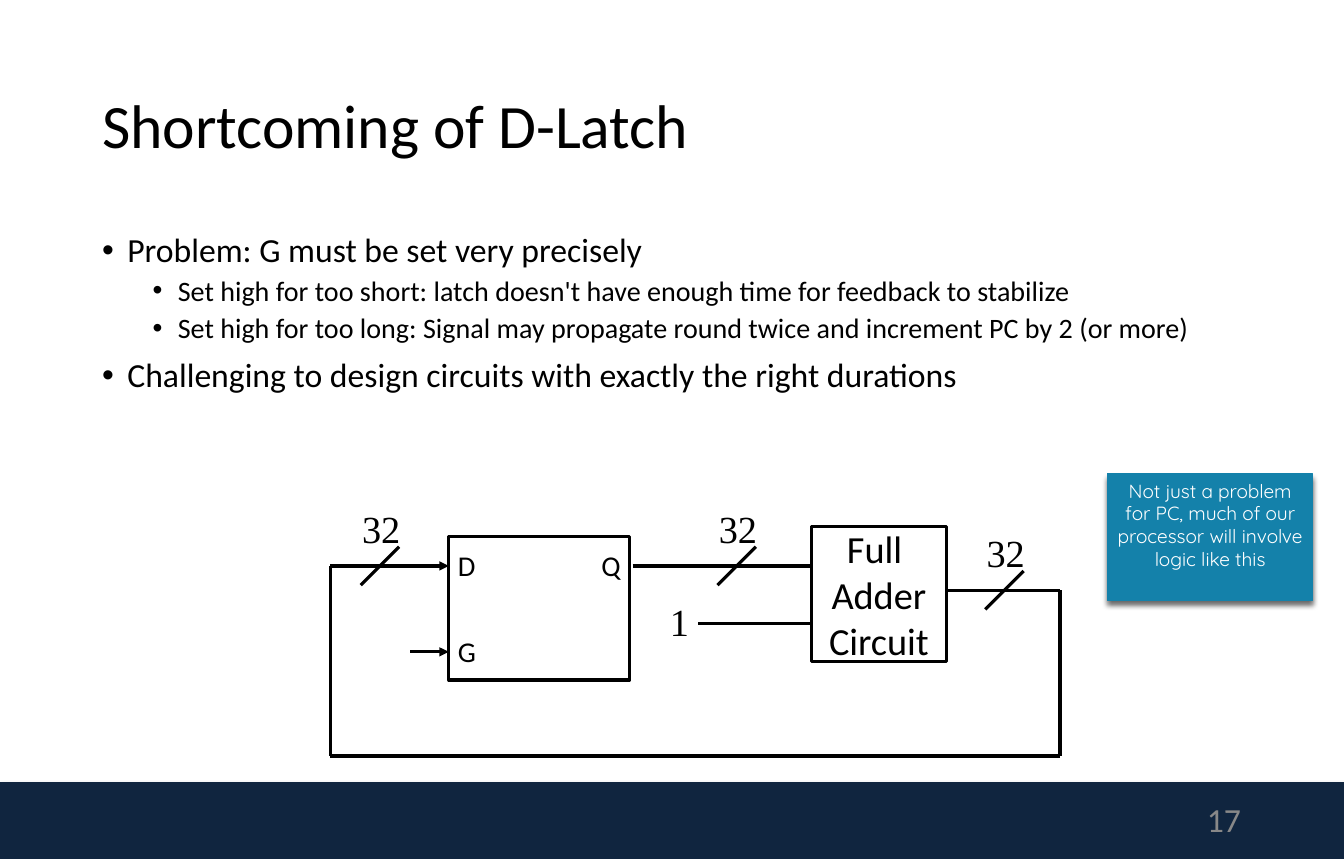
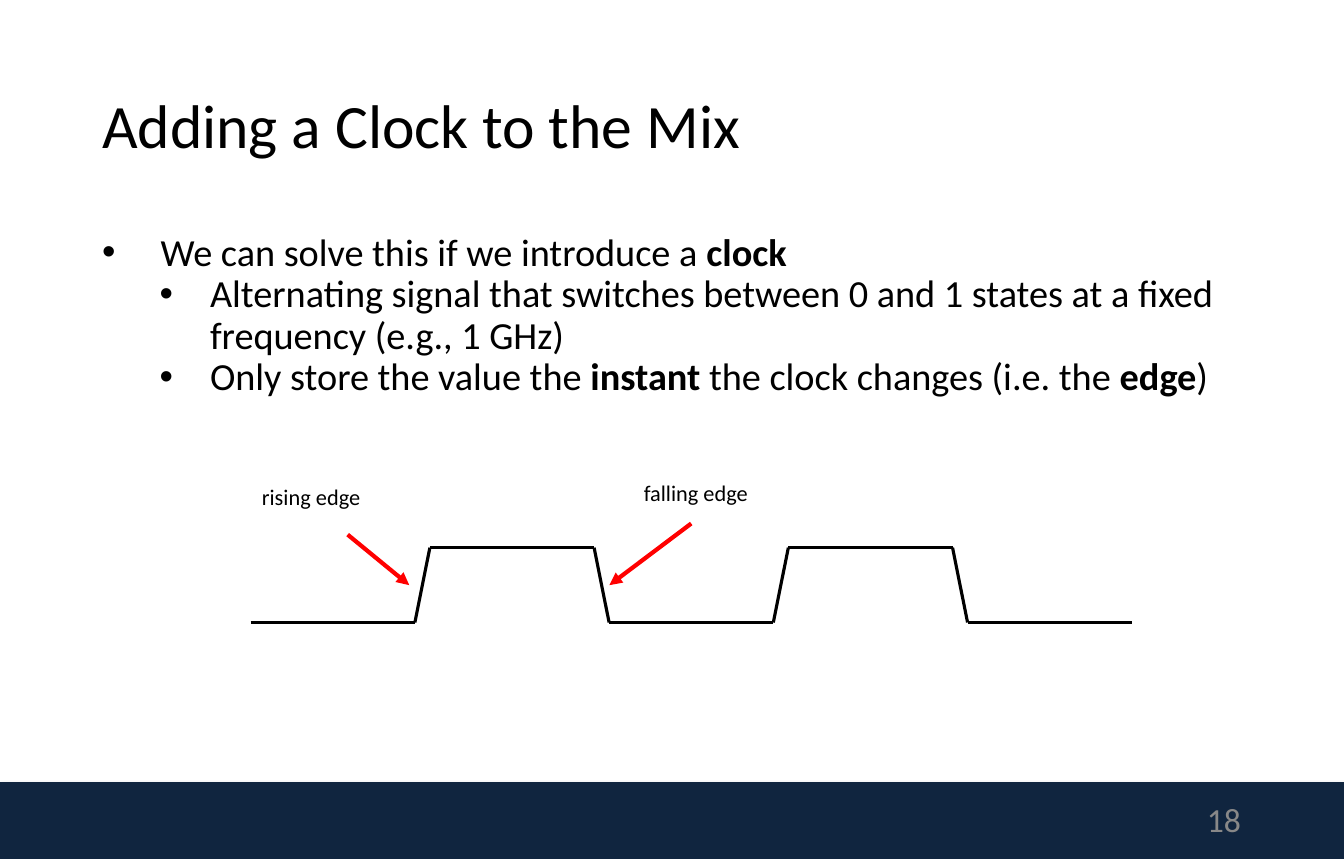
import itertools

import pptx
import pptx.dml.color
import pptx.enum.shapes
import pptx.enum.text
import pptx.oxml
import pptx.oxml.ns
import pptx.util

Pt = pptx.util.Pt
RGBColor = pptx.dml.color.RGBColor
Align = pptx.enum.text.PP_ALIGN
Anchor = pptx.enum.text.MSO_ANCHOR

BLACK = RGBColor(0x00, 0x00, 0x00)
WHITE = RGBColor(0xFF, 0xFF, 0xFF)
RED = RGBColor(0xFF, 0x00, 0x00)
GRAY = RGBColor(0x88, 0x88, 0x88)
NAVY = RGBColor(0x10, 0x25, 0x3F)
TEAL = RGBColor(0x14, 0x81, 0xAA)

SLIDE_WIDTH, SLIDE_HEIGHT = 957.6, 612
BAND_TOP = 557.3
CONTENT_LEFT, CONTENT_WIDTH = 65.5, 825.8
PLACEHOLDER_MARGINS = (7.2, 3.6)
LABEL_MARGINS = (8, 4.3)
LINE_WIDTH = 2.25


def xml(markup):
    namespace = pptx.oxml.ns.nsdecls("a")
    return pptx.oxml.parse_xml(markup.replace("/>", f" {namespace}/>", 1)
                               if markup.endswith("/>") and markup.count("<") == 1
                               else markup.replace(">", f" {namespace}>", 1))


def place(shape, left, top, width, height):
    shape.left, shape.top = Pt(left), Pt(top)
    shape.width, shape.height = Pt(width), Pt(height)


def set_frame(frame, margins, anchor=Anchor.TOP):
    frame.word_wrap = True
    frame.auto_size = pptx.enum.text.MSO_AUTO_SIZE.NONE
    frame.vertical_anchor = anchor
    frame.margin_left = frame.margin_right = Pt(margins[0])
    frame.margin_top = frame.margin_bottom = Pt(margins[1])


def format_paragraph(paragraph, size, color=BLACK, font="Calibri", align=Align.LEFT):
    paragraph.alignment = align
    for run in paragraph.runs:
        run.font.size = Pt(size)
        run.font.name = font
        run.font.color.rgb = color


def write(shape, text, size, margins=LABEL_MARGINS, anchor=Anchor.TOP, **style):
    frame = shape.text_frame
    set_frame(frame, margins, anchor)
    frame.text = text
    for paragraph in frame.paragraphs:
        format_paragraph(paragraph, size, **style)


def add_label(slide, text, left, top, width, height, size, **style):
    label = slide.shapes.add_textbox(Pt(left), Pt(top), Pt(width), Pt(height))
    write(label, text, size, **style)


def add_box(slide, left, top, width, height, fill=None, line=None, line_width=LINE_WIDTH):
    box = slide.shapes.add_shape(pptx.enum.shapes.MSO_SHAPE.RECTANGLE,
                                 Pt(left), Pt(top), Pt(width), Pt(height))
    box.shadow.inherit = False
    if fill is None:
        box.fill.background()
    else:
        box.fill.solid()
        box.fill.fore_color.rgb = fill
    if line is None:
        box.line.fill.background()
    else:
        box.line.color.rgb = line
        box.line.width = Pt(line_width)
    return box


def add_shadow(shape, color, opacity, blur, distance):
    """Drop a soft shadow straight down; opacity is in percent."""
    effects = shape.element.spPr.find(pptx.oxml.ns.qn("a:effectLst"))
    effects.append(xml(
        f'<a:outerShdw blurRad="{Pt(blur)}" dist="{Pt(distance)}" dir="5400000" '
        f'rotWithShape="0"><a:srgbClr val="{color}">'
        f'<a:alpha val="{opacity * 1000}"/></a:srgbClr></a:outerShdw>'))


def add_line(slide, start, end, color=BLACK, width=LINE_WIDTH, arrow=False):
    line = slide.shapes.add_connector(pptx.enum.shapes.MSO_CONNECTOR.STRAIGHT,
                                      *(Pt(value) for value in (*start, *end)))
    line.line.color.rgb = color
    line.line.width = Pt(width)
    if arrow:
        line.line._get_or_add_ln().append(xml('<a:tailEnd type="triangle"/>'))
    line.element.spPr.append(xml("<a:effectLst/>"))


def add_path(slide, points):
    for start, end in itertools.pairwise(points):
        add_line(slide, start, end)


def add_bullets(slide, items, sizes, indents):
    """Fill the body with (level, space before, text); *stars* mark bold words.

    Sizes and indents, as (margin, hanging), are given per level.
    """
    body = slide.placeholders[1]
    place(body, CONTENT_LEFT, 162.7, CONTENT_WIDTH, 388)
    frame = body.text_frame
    set_frame(frame, PLACEHOLDER_MARGINS)
    for index, (level, space_before, text) in enumerate(items):
        paragraph = frame.add_paragraph() if index else frame.paragraphs[0]
        for position, part in enumerate(text.split("*")):
            run = paragraph.add_run()
            run.text = part
            run.font.bold = position % 2 == 1
        format_paragraph(paragraph, sizes[level])
        paragraph.level = level
        paragraph.line_spacing = 0.9
        paragraph.space_before = Pt(space_before)
        margin, hanging = indents[level]
        properties = paragraph._p.get_or_add_pPr()
        properties.set("marL", str(Pt(margin)))
        properties.set("indent", str(-Pt(hanging)))
        properties.append(xml('<a:buFont typeface="Arial"/>'))
        properties.append(xml('<a:buChar char="•"/>'))


def add_slide(presentation, title_text, number):
    slide = presentation.slides.add_slide(presentation.slide_layouts[1])
    band = add_box(slide, 0, BAND_TOP, SLIDE_WIDTH, SLIDE_HEIGHT - BAND_TOP, fill=NAVY)
    add_shadow(band, GRAY, 35, 3.1, 1.8)
    title = slide.shapes.title
    place(title, CONTENT_LEFT, 32.4, CONTENT_WIDTH, 118)
    write(title, title_text, 43.9, PLACEHOLDER_MARGINS, Anchor.MIDDLE)
    title.text_frame.paragraphs[0].line_spacing = 0.9
    add_label(slide, str(number), 676, 567.4, 215.3, 32.4, 24, color=GRAY,
              margins=PLACEHOLDER_MARGINS, anchor=Anchor.MIDDLE, align=Align.RIGHT)
    return slide


def add_bus_mark(slide, x, y):
    """Slash a wire at height y and label it as 32 bits wide."""
    half = 13.7
    add_line(slide, (x, y + half), (x + 2 * half, y - half))
    add_label(slide, "32", x - 7, y - 47.5, 50, 41, 27.3, font="Times New Roman")


def add_latch_circuit(slide):
    data_y, gate_y, output_y, constant_y = 403.2, 464.4, 420.5, 444.2
    latch_left, adder_left, adder_size = 319.7, 578.2, 96
    loop_left, loop_right, loop_bottom = 235.4, 755.3, 538.6
    arrow_left = 292.3

    add_box(slide, latch_left, 382.3, 128.9, 102.2, line=BLACK)
    for text, left, y in (("D", 318.2, data_y), ("G", 318.2, gate_y), ("Q", 420.5, data_y)):
        add_label(slide, text, left, y - 17.3, 36, 33, 20.4)
    for y in (data_y, gate_y):
        add_line(slide, (arrow_left, y), (latch_left, y), arrow=True)

    adder = add_box(slide, adder_left, 375.1, adder_size, adder_size, line=BLACK)
    write(adder, "Full \nAdder\nCircuit", 27.3, anchor=Anchor.MIDDLE, align=Align.CENTER)
    add_line(slide, (450.7, data_y), (adder_left, data_y))
    add_line(slide, (497.5, constant_y), (adder_left, constant_y))
    add_label(slide, "1", 469.4, 421.9, 50, 41, 27.3, font="Times New Roman")

    add_path(slide, [(adder_left + adder_size, output_y), (loop_right, output_y),
                     (loop_right, loop_bottom), (loop_left, loop_bottom),
                     (loop_left, data_y), (arrow_left, data_y)])
    for x, y in ((257, data_y), (511.2, data_y), (702, output_y)):
        add_bus_mark(slide, x, y)


def add_clock_wave(slide):
    low, high, flat, slope = 443.5, 390.2, 117, 10.7
    x = 178.6
    points = []
    for level in (low, high, low, high, low):
        points += [(x, level), (x + flat, level)]
        x += flat + slope
    add_path(slide, points)


def build_latch_slide(presentation):
    slide = add_slide(presentation, "Shortcoming of D-Latch", 17)
    add_bullets(slide, [
        (0, 0, "Problem: G must be set very precisely"),
        (1, 5, "Set high for too short: latch doesn't have enough time for feedback "
               "to stabilize"),
        (1, 5, "Set high for too long: Signal may propagate round twice and increment "
               "PC by 2 (or more)"),
        (0, 10, "Challenging to design circuits with exactly the right durations"),
    ], sizes=(24, 20), indents=((18, 18), (54, 18)))
    add_latch_circuit(slide)
    note = add_box(slide, 789.1, 337.7, 146.2, 90, TEAL, TEAL, 0.75)
    add_shadow(note, BLACK, 60, 4, 3)
    write(note, "Not just a problem for PC, much of our processor will involve logic like this",
          13.6, PLACEHOLDER_MARGINS, color=WHITE, font="Quicksand", align=Align.CENTER)


def build_clock_slide(presentation):
    slide = add_slide(presentation, "Adding a Clock to the Mix", 18)
    add_bullets(slide, [
        (0, 0, "We can solve this if we introduce a *clock*"),
        (1, 0, "Alternating signal that switches between 0 and 1 states at a fixed "
               "frequency (e.g., 1 GHz)"),
        (1, 0, "Only store the value the *instant *the clock changes (i.e. the *edge*)"),
    ], sizes=(27.3, 27.3), indents=((41.8, 41.8), (77, 36)))
    add_clock_wave(slide)
    for text, left, top, start, end in (
            ("rising edge", 178.6, 339.8, (247.7, 380.9), (291.6, 416.9)),
            ("falling edge", 450.7, 337, (492.5, 373), (434.2, 416.9))):
        add_label(slide, text, left, top, 127.4, 27.4, 15.9)
        add_line(slide, start, end, RED, 3, arrow=True)


def main():
    presentation = pptx.Presentation()
    presentation.slide_width = Pt(SLIDE_WIDTH)
    presentation.slide_height = Pt(SLIDE_HEIGHT)
    build_latch_slide(presentation)
    build_clock_slide(presentation)
    presentation.save("out.pptx")


if __name__ == "__main__":
    main()
